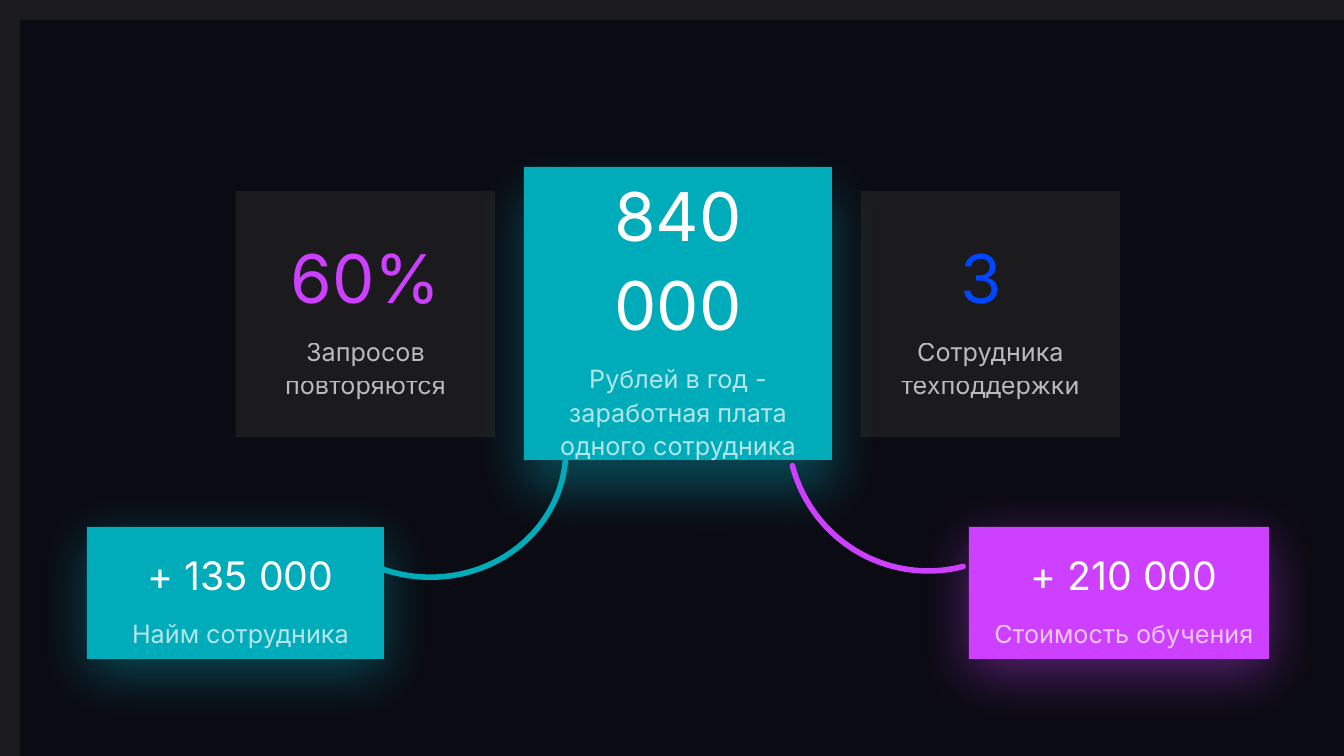
import pptx
import pptx.dml.color
import pptx.enum.shapes
import pptx.enum.text
import pptx.oxml
import pptx.oxml.ns
import pptx.util

RGB = pptx.dml.color.RGBColor
SHAPE = pptx.enum.shapes.MSO_SHAPE
ANCHOR = pptx.enum.text.MSO_ANCHOR
CENTER = pptx.enum.text.PP_ALIGN.CENTER

GRAPHITE = RGB(0x1B, 0x1B, 0x1E)
NIGHT = RGB(0x05, 0x05, 0x0F)
TEAL = RGB(0x00, 0xAB, 0xBA)
PURPLE = RGB(0xCD, 0x40, 0xFF)
BLUE = RGB(0x00, 0x45, 0xFF)
WHITE = RGB(0xFF, 0xFF, 0xFF)

WIDTH, HEIGHT = 1344, 756
SCALE = 12192000 / WIDTH


def px(n):
    return pptx.util.Emu(round(n * SCALE))


def set_alpha(fill, percent):
    """Make a solid fill partly opaque."""
    color = fill._xPr.find(".//" + pptx.oxml.ns.qn("a:srgbClr"))
    color.append(pptx.oxml.parse_xml(
        f'<a:alpha {pptx.oxml.ns.nsdecls("a")} val="{percent * 1000}"/>'))


class Deck:
    font = "Inter"
    caption_size = 18
    opacity = 70

    def __init__(self):
        self.prs = pptx.Presentation()
        self.prs.slide_width, self.prs.slide_height = px(WIDTH), px(HEIGHT)
        self.slide = self.prs.slides.add_slide(self.prs.slide_layouts[6])

    def background(self, color):
        fill = self.slide.background.fill
        fill.solid()
        fill.fore_color.rgb = color

    def shape(self, kind, box, fill=None):
        sp = self.slide.shapes.add_shape(kind, *map(px, box))
        sp.shadow.inherit = False
        sp.line.fill.background()
        if fill is None:
            sp.fill.background()
        else:
            sp.fill.solid()
            sp.fill.fore_color.rgb = fill
        return sp

    def panel(self, box, fill):
        set_alpha(self.shape(SHAPE.RECTANGLE, box, fill).fill, self.opacity)

    def glow(self, sp, color, distance):
        """Add a soft coloured shadow falling straight down."""
        effects = sp._element.spPr.find(pptx.oxml.ns.qn("a:effectLst"))
        effects.append(pptx.oxml.parse_xml(
            f'<a:outerShdw {pptx.oxml.ns.nsdecls("a")} '
            f'blurRad="{pptx.util.Pt(40)}" dist="{pptx.util.Pt(distance)}" '
            f'dir="5400000" algn="t" rotWithShape="0">'
            f'<a:srgbClr val="{color}"><a:alpha val="40000"/></a:srgbClr>'
            f'</a:outerShdw>'))

    def paragraph(self, p, text, size, color):
        for name, value in {"alignment": CENTER, "line_spacing": 1.1}.items():
            setattr(p, name, value)
        r = p.add_run()
        r.text = text
        for name, value in {"name": self.font, "size": pptx.util.Pt(size)}.items():
            setattr(r.font, name, value)
        r.font.color.rgb = color
        return r

    def card(self, box, fill, figure, caption, color=WHITE, size=48,
             anchor=ANCHOR.MIDDLE, insets=(20, 20, 20, 20), glow=None):
        sp = self.shape(SHAPE.ROUNDED_RECTANGLE, box, fill)
        sp.adjustments[0] = 0
        if glow:
            self.glow(sp, fill, glow)
        left, top, right, bottom = map(px, insets)
        tf = sp.text_frame
        style = {"word_wrap": True, "vertical_anchor": anchor,
                 "margin_left": left, "margin_top": top,
                 "margin_right": right, "margin_bottom": bottom}
        for name, value in style.items():
            setattr(tf, name, value)
        self.paragraph(tf.paragraphs[0], figure, size, color)
        p = tf.add_paragraph()
        p.space_before = pptx.util.Pt(12)
        r = self.paragraph(p, caption, self.caption_size, WHITE)
        set_alpha(r.font.fill, self.opacity)

    def cost(self, box, fill, figure, caption):
        self.card(box, fill, figure, caption, size=28, anchor=ANCHOR.TOP,
                  insets=(20, 20, 10, 5), glow=10)

    def arc(self, box, start, end, rotation, color):
        sp = self.shape(SHAPE.ARC, box)
        for i, degrees in enumerate((start, end)):
            sp.adjustments[i] = degrees * 0.6
        sp.rotation = rotation
        sp.line.color.rgb = color
        sp.line.width = pptx.util.Pt(4)
        sp.line._get_or_add_ln().set("cap", "rnd")


def main():
    deck = Deck()
    deck.background(GRAPHITE)
    deck.panel((20, 20, WIDTH, HEIGHT), NIGHT)
    deck.card((861, 191, 259, 246), GRAPHITE, "3 ",
              "Сотрудника техподдержки", BLUE)
    deck.card((236, 191, 259, 246), GRAPHITE, "60%",
              "Запросов повторяются", PURPLE)
    deck.card((524, 167, 308, 293), TEAL, "840 000",
              "Рублей в год - заработная плата одного сотрудника", glow=20)
    deck.arc((788, 290, 280, 281), 90.12, 180.07, 345.4, PURPLE)
    deck.cost((969, 527, 300, 132), PURPLE, "+ 210 000", "Стоимость обучения")
    deck.arc((291, 319, 275, 258), 177.73, 285.64, 186.7, TEAL)
    deck.cost((87, 527, 297, 132), TEAL, "+ 135 000", "Найм сотрудника")
    deck.prs.save("out.pptx")


if __name__ == "__main__":
    main()
